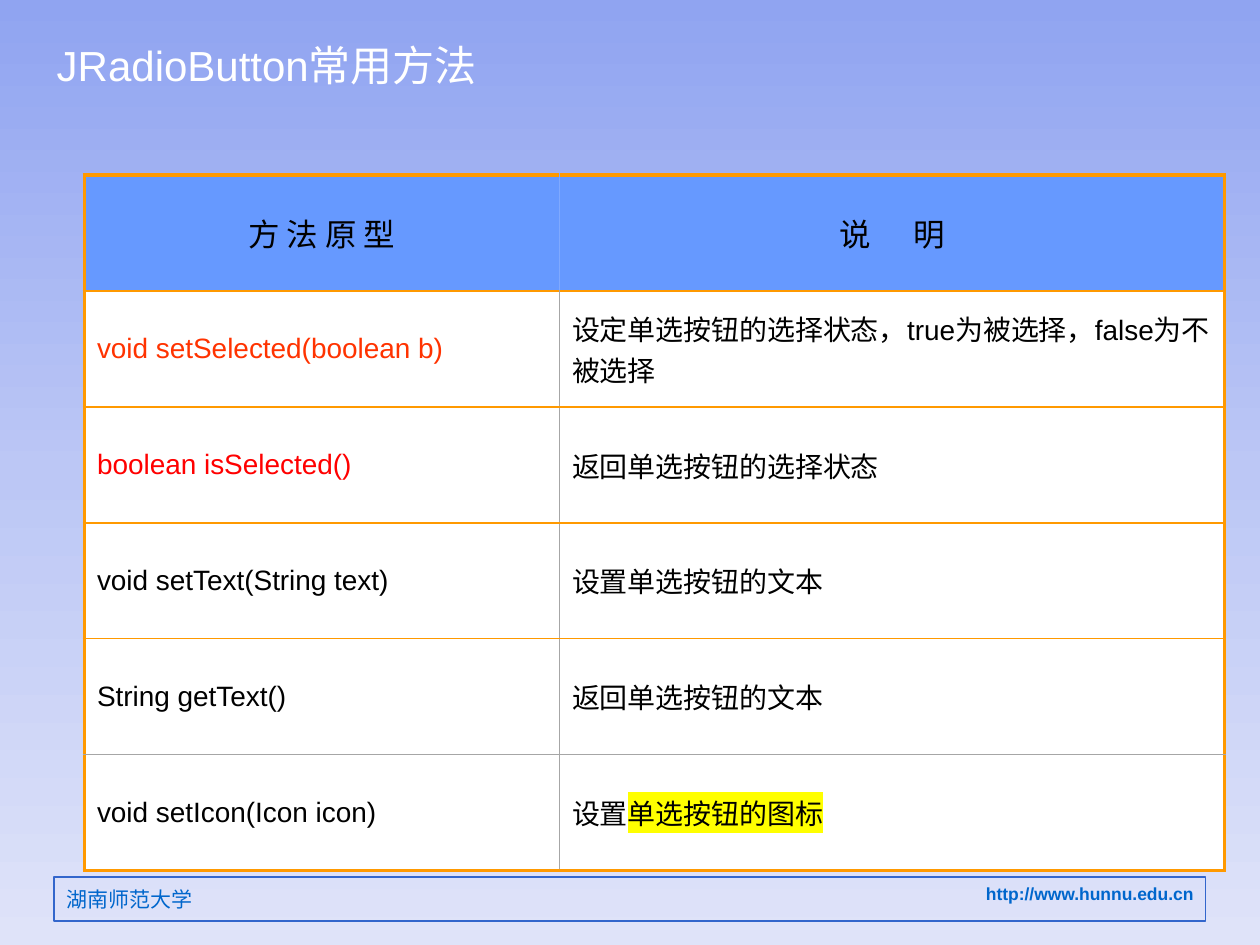
from copy import deepcopy
from dataclasses import dataclass

from lxml.etree import SubElement
from pptx import Presentation
from pptx.dml.color import RGBColor as RGB
from pptx.enum.shapes import MSO_SHAPE as SHAPE
from pptx.enum.text import MSO_ANCHOR as ANCHOR, PP_ALIGN as ALIGN
from pptx.oxml.ns import qn
from pptx.util import Inches, Pt


@dataclass(frozen=True)
class Theme:
    latin: str = "Arial"
    asian: str = "Noto Sans CJK SC"
    title_size: int = 24
    head_size: int = 18
    body_size: int = 16
    org_size: int = 12
    url_size: int = 10
    white: str = "FFFFFF"
    black: str = "000000"
    red: str = "FF0000"
    vermilion: str = "FF3300"
    link: str = "0066CC"
    frame: str = "3366CC"
    head_fill: str = "6699FF"
    head_rule: str = "7FA9FF"
    rule: str = "FF9900"
    thin_rule: str = "A6A6A6"
    mark: str = "FFFF00"
    sky: tuple = ((0, "90A4F1"), (0.5, "BCC7F5"), (1, "DFE3F9"))


T = Theme()
COLS, ROW_H = (3.77, 5.28), 0.92
HEAD = ("方 法 原 型", "说 明")
METHODS = (
    ("void setSelected(boolean b)", T.vermilion,
     "设定单选按钮的选择状态，true为被选择，false为不被选择", ""),
    ("boolean isSelected()", T.red, "返回单选按钮的选择状态", ""),
    ("void setText(String text)", T.black, "设置单选按钮的文本", ""),
    ("String getText()", T.black, "返回单选按钮的文本", ""),
    ("void setIcon(Icon icon)", T.black, "设置", "单选按钮的图标"),
)


def assign(obj, **values):
    for name, value in values.items():
        setattr(obj, name, value)


def box(left, top, width, height):
    return [Inches(v) for v in (left, top, width, height)]


def add_run(p, text, size, color, bold=False, mark=None, spacing=None):
    """Add a run; mark is a highlight colour, spacing is extra tracking in points."""
    r = p.add_run()
    r.text = text
    assign(r.font, name=T.latin, size=Pt(size), bold=bold)
    r.font.color.rgb = RGB.from_string(color)
    rPr = r.font._element
    SubElement(rPr, qn("a:ea"), typeface=T.asian)
    if mark:
        highlight = SubElement(rPr, qn("a:highlight"))
        SubElement(highlight, qn("a:srgbClr"), val=mark)
        rPr.find(qn("a:latin")).addprevious(highlight)
    if spacing:
        rPr.set("spc", str(spacing * 100))


def paint_background(s):
    fill = s.background.fill
    fill.gradient()
    fill.gradient_angle = 270
    stop_list = s._element.find(".//" + qn("a:gsLst"))
    stop_list.append(deepcopy(stop_list[0]))
    for stop, (position, color) in zip(fill.gradient_stops, T.sky):
        stop.position = position
        stop.color.rgb = RGB.from_string(color)


def add_title(s, text):
    sp = s.shapes.title
    left, top, width, height = box(0.35, 0.21, 5.52, 0.61)
    assign(sp, left=left, top=top, width=width, height=height)
    tf = sp.text_frame
    assign(tf, vertical_anchor=ANCHOR.MIDDLE, word_wrap=True)
    p = tf.paragraphs[0]
    p.alignment = ALIGN.LEFT
    add_run(p, text, T.title_size, T.white)


def add_footer(s, org, url):
    frame = s.shapes.add_shape(SHAPE.RECTANGLE, *box(0.43, 6.96, 9.14, 0.35))
    frame.shadow.inherit = False
    frame.fill.background()
    frame.line.color.rgb = RGB.from_string(T.frame)
    frame.line.width = Pt(0.75)
    label = s.shapes.add_textbox(*box(0.43, 6.99, 3.94, 0.3))
    for sp, text, size, align, bold in (
            (frame, url, T.url_size, ALIGN.RIGHT, True),
            (label, org, T.org_size, ALIGN.LEFT, False)):
        tf = sp.text_frame
        assign(tf, word_wrap=True, vertical_anchor=ANCHOR.TOP)
        p = tf.paragraphs[0]
        p.alignment = align
        add_run(p, text, size, T.link, bold)


def cell_borders(row, col):
    """Thick outer frame, orange row rules, pale column rule and last row rule."""
    last = len(METHODS)
    outer = (T.rule, 2.25)
    column = (T.head_rule if row == 0 else T.thin_rule, 0.75)

    def row_rule(below):
        if below in (0, last + 1):
            return outer
        return (T.thin_rule, 0.75) if below == last else (T.rule, 1)

    return {"L": column if col else outer, "R": outer if col else column,
            "T": row_rule(row), "B": row_rule(row + 1)}


def format_cell(cell, row, col):
    tcPr = cell._tc.get_or_add_tcPr()
    for side, (color, width) in cell_borders(row, col).items():
        ln = SubElement(tcPr, qn(f"a:ln{side}"), w=str(Pt(width)))
        fill = SubElement(ln, qn("a:solidFill"))
        SubElement(fill, qn("a:srgbClr"), val=color)
    cell.fill.solid()
    cell.fill.fore_color.rgb = RGB.from_string(T.white if row else T.head_fill)
    cell.vertical_anchor = ANCHOR.MIDDLE
    p = cell.text_frame.paragraphs[0]
    p.alignment = ALIGN.LEFT if row else ALIGN.CENTER
    return p


def add_method_table(s):
    rows = len(METHODS) + 1
    table = s.shapes.add_table(
        rows, len(COLS), *box(0.67, 1.39, sum(COLS), rows * ROW_H)).table
    assign(table, first_row=False, horz_banding=False)
    for column, width in zip(table.columns, COLS):
        column.width = Inches(width)

    name, note = (format_cell(table.cell(0, c), 0, c) for c in range(2))
    add_run(name, HEAD[0], T.head_size, T.black)
    add_run(note, HEAD[1][:-1], T.head_size, T.black, spacing=10)
    add_run(note, HEAD[1][-1], T.head_size, T.black)

    for row, (method, color, text, marked) in enumerate(METHODS, 1):
        name, note = (format_cell(table.cell(row, c), row, c) for c in range(2))
        add_run(name, method, T.body_size, color)
        add_run(note, text, T.body_size, T.black)
        if marked:
            add_run(note, marked, T.body_size, T.black, mark=T.mark)


def main():
    prs = Presentation()
    assign(prs, slide_width=Inches(10), slide_height=Inches(7.5))
    s = prs.slides.add_slide(prs.slide_layouts[5])
    paint_background(s)
    add_footer(s, "湖南师范大学", "http://www.hunnu.edu.cn")
    add_title(s, "JRadioButton常用方法")
    add_method_table(s)
    prs.save("out.pptx")


if __name__ == "__main__":
    main()
